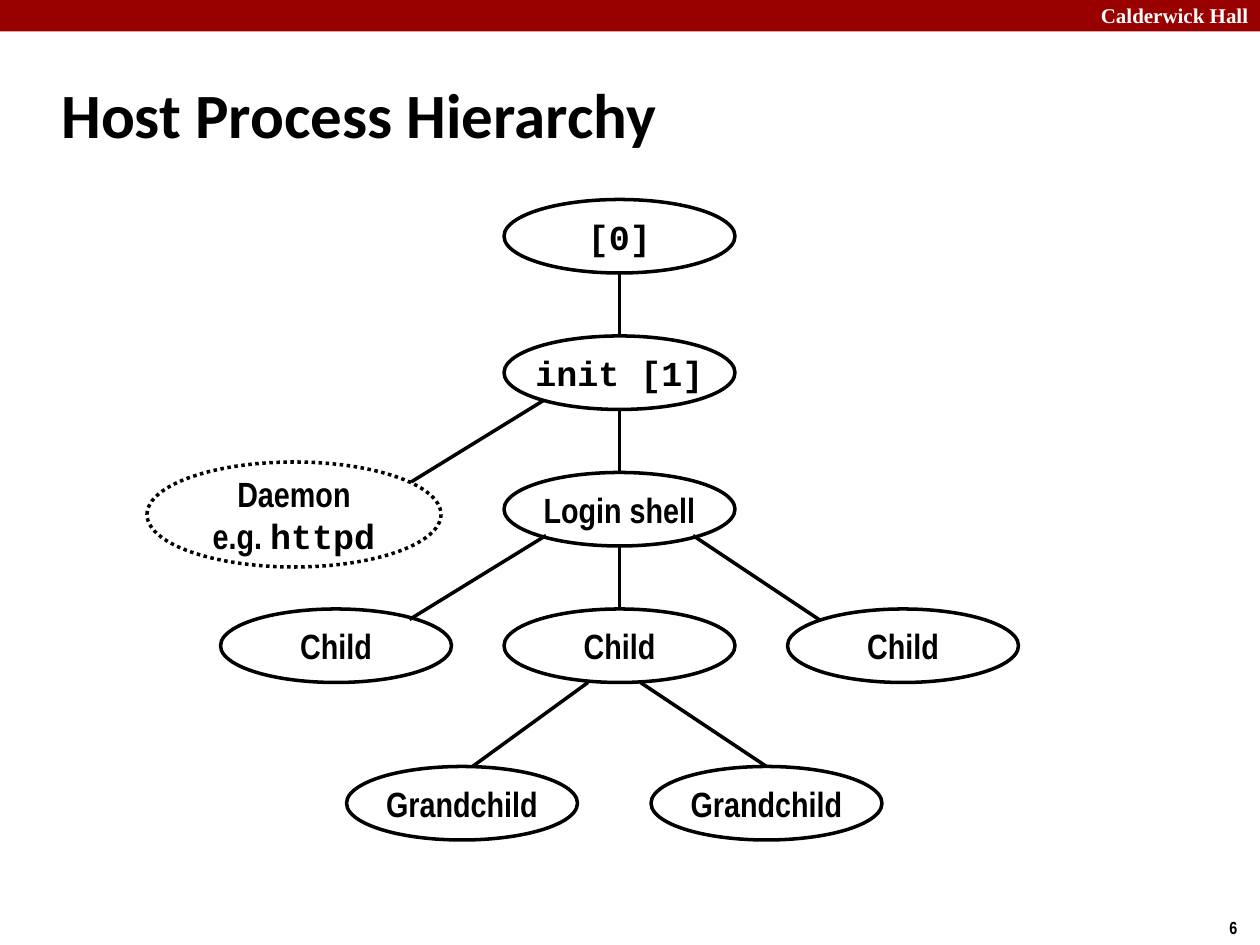
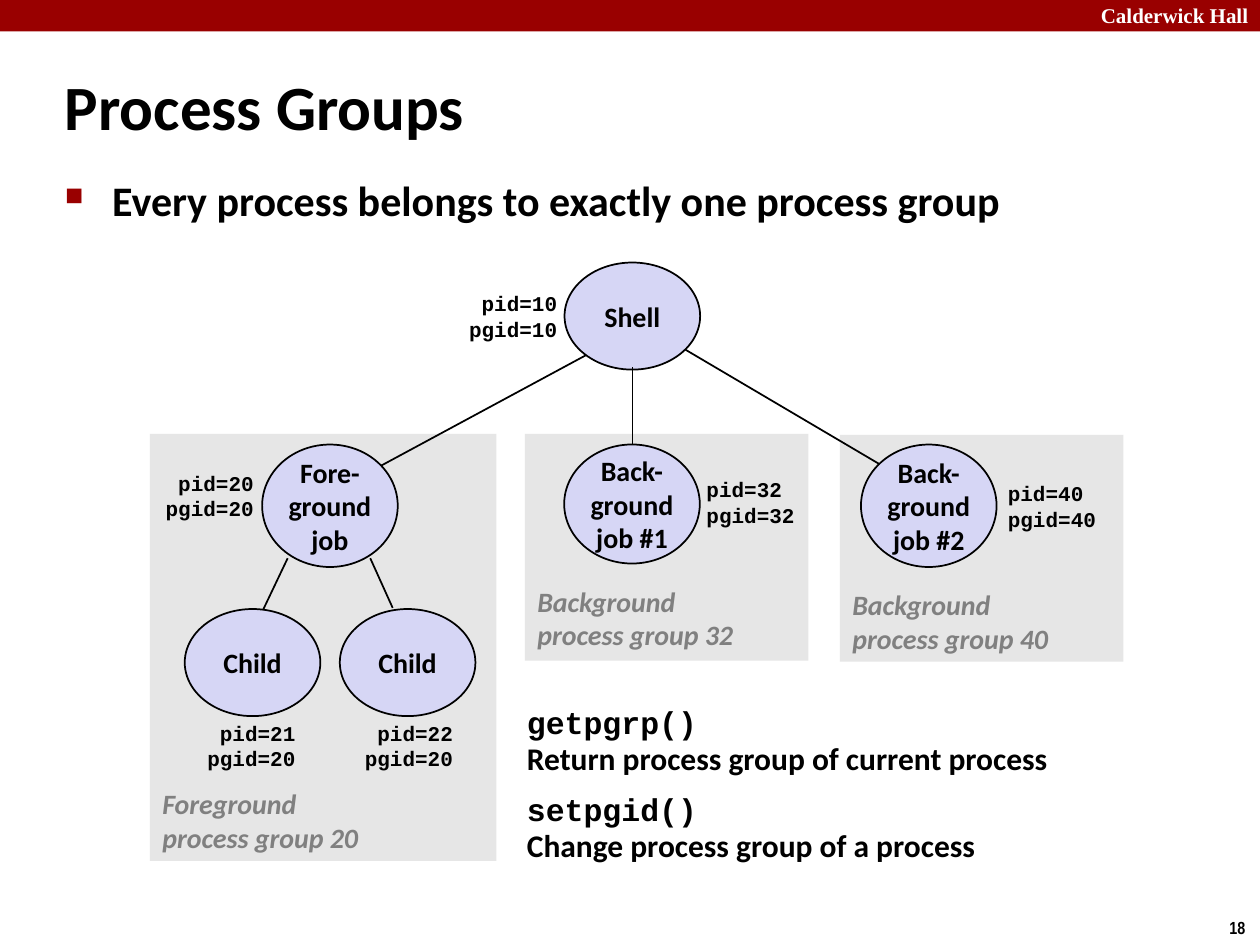
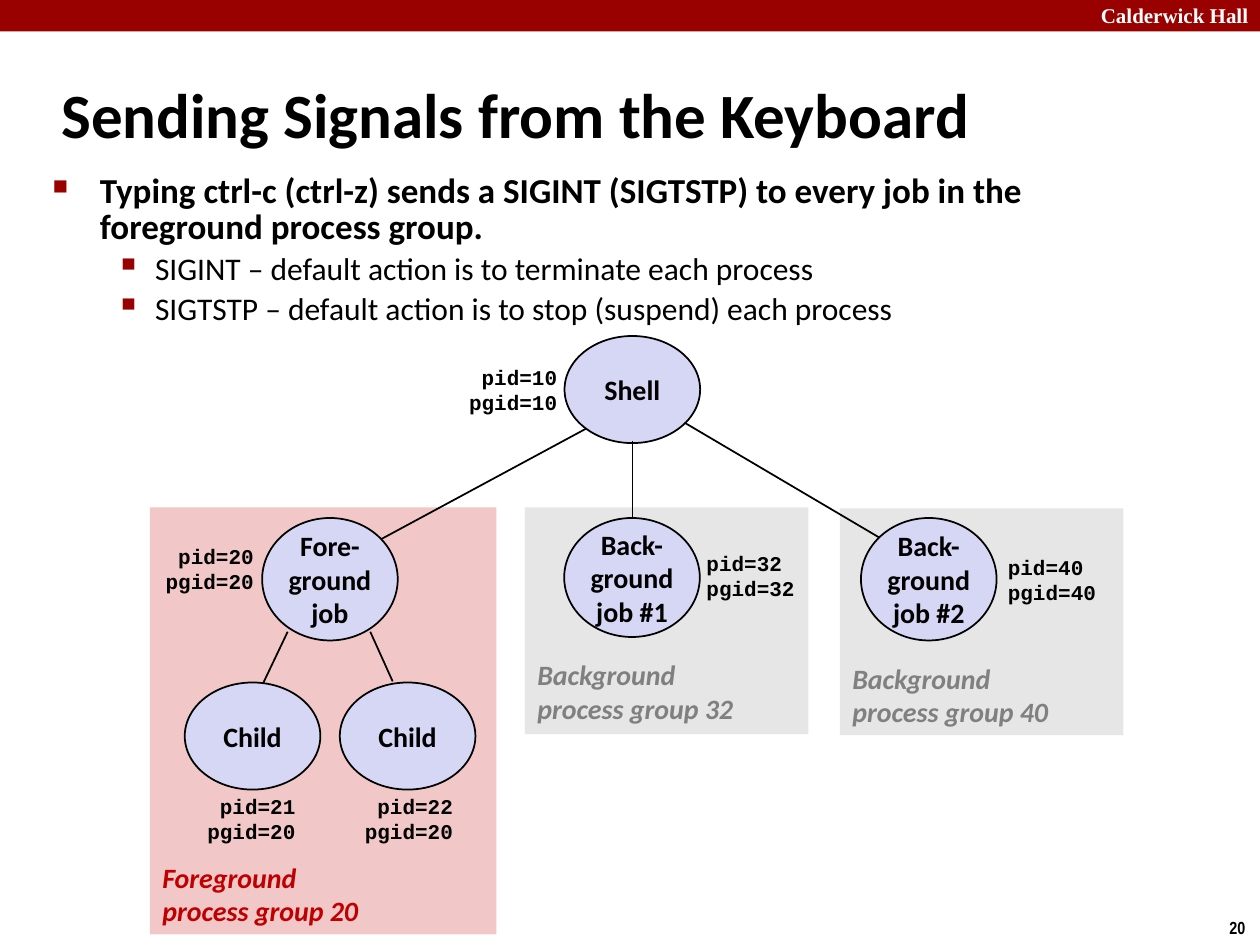
"""Three lecture slides on processes, process groups and keyboard signals."""
from dataclasses import dataclass, field

from lxml import etree
from pptx import Presentation, util as u
from pptx.dml import color
from pptx.enum import dml, shapes, text
from pptx.oxml import ns

LEFT, CENTER, RIGHT = text.PP_ALIGN.LEFT, text.PP_ALIGN.CENTER, text.PP_ALIGN.RIGHT


def style(name, size, ink="000000", bold=True, italic=False):
    """Return the format values of one kind of text."""
    return {"name": name, "size": u.Pt(size), "bold": bold, "italic": italic, "ink": ink}


@dataclass(frozen=True)
class Theme:
    """Colours and type sizes of the deck."""
    ink: str = "000000"
    paper: str = "FFFFFF"
    accent: str = "990000"
    process: str = "D6D6F5"
    group: str = "E6E6E6"
    active_group: str = "F1C7C7"
    type: dict = field(default_factory=lambda: {
        "brand": style("Times New Roman", 12, "FFFFFF"),
        "number": style("Arial Narrow", 10),
        "title": style("Calibri", 36),
        "statement": style("Calibri", 24),
        "point": style("Calibri", 20),
        "detail": style("Calibri", 18, bold=False),
        "node": style("Arial Narrow", 20),
        "node code": style("Courier New", 20),
        "process": style("Calibri", 16),
        "pid": style("Courier New", 12),
        "group": style("Calibri", 16, "808080", italic=True),
        "active group": style("Calibri", 16, "C00000", italic=True),
        "function": style("Courier New", 18),
        "meaning": style("Calibri", 18),
    })


THEME = Theme()


def rgb(code):
    """Return the colour for a hex code."""
    return color.RGBColor.from_string(code)


def apply(target, values):
    """Set every format value on the target."""
    for key, value in values.items():
        if key == "ink":
            target.color.rgb = rgb(value)
        else:
            setattr(target, key, value)


def write(frame, lines, kind, **layout):
    """Fill a text frame; a line is a string or a list of (string, kind) parts."""
    for index, line in enumerate(lines):
        paragraph = frame.paragraphs[0] if index == 0 else frame.add_paragraph()
        apply(paragraph, layout)
        for words, part in [(line, kind)] if isinstance(line, str) else line:
            if words == "\n":
                paragraph.add_line_break()
                continue
            run = paragraph.add_run()
            run.text = words
            apply(run.font, THEME.type[part])


def add_text(slide, box, lines, kind, wrap=True, anchor=text.MSO_ANCHOR.TOP, **layout):
    """Add a text box and return its frame."""
    frame = slide.shapes.add_textbox(*map(u.Pt, box)).text_frame
    apply(frame, {"word_wrap": wrap, "vertical_anchor": anchor})
    write(frame, lines, kind, **layout)
    return frame


def add_block(slide, box, fill, outline=0, form=shapes.MSO_SHAPE.RECTANGLE):
    """Add a flat filled shape, outlined when a line width is given."""
    block = slide.shapes.add_shape(form, *map(u.Pt, box))
    block.shadow.inherit = False
    block.fill.solid()
    block.fill.fore_color.rgb = rgb(fill)
    if outline:
        block.line.color.rgb = rgb(THEME.ink)
        block.line.width = u.Pt(outline)
    else:
        block.line.fill.background()
    return block


def add_node(slide, box, lines, kind, fill, outline):
    """Add an ellipse with centred text."""
    node = add_block(slide, box, fill, outline, shapes.MSO_SHAPE.OVAL)
    apply(node.text_frame, {"word_wrap": False, "vertical_anchor": text.MSO_ANCHOR.MIDDLE})
    write(node.text_frame, lines, kind, alignment=CENTER)
    return node


def add_edges(slide, edges, width, top=0):
    """Add straight lines given as x1, y1, x2, y2 below the top."""
    for x1, y1, x2, y2 in edges:
        edge = slide.shapes.add_connector(
            shapes.MSO_CONNECTOR.STRAIGHT, *map(u.Pt, (x1, top + y1, x2, top + y2)))
        edge.line.color.rgb = rgb(THEME.ink)
        edge.line.width = u.Pt(width)
        etree.SubElement(edge._element.spPr, ns.qn("a:effectLst"))


def add_bullets(slide, box, items):
    """Add bulleted lines given as words, kind, indent, hang, mark, mark size and layout."""
    frame = add_text(slide, box, [], "point")
    for index, (words, kind, indent, hang, mark, percent, layout) in enumerate(items):
        paragraph = frame.paragraphs[0] if index == 0 else frame.add_paragraph()
        apply(paragraph, layout)
        run = paragraph.add_run()
        run.text = words
        apply(run.font, THEME.type[kind])
        properties = paragraph._p.get_or_add_pPr()
        properties.set("marL", str(u.Pt(indent)))
        properties.set("indent", str(u.Pt(-hang)))
        tint = etree.SubElement(properties, ns.qn("a:buClr"))
        etree.SubElement(tint, ns.qn("a:srgbClr"), val=THEME.accent)
        etree.SubElement(properties, ns.qn("a:buSzPct"), val=str(percent * 1000))
        etree.SubElement(properties, ns.qn("a:buChar"), char=mark)


def start_slide(deck, title, number, title_at=(28, 34.5)):
    """Add a blank slide with band, title and slide number."""
    slide = deck.slides.add_slide(deck.slide_layouts[6])
    add_block(slide, (0, 0, 720, 18), THEME.accent)
    add_text(slide, (622, -2, 103, 21.6), ["Calderwick Hall"], "brand")
    add_text(slide, (695.5, 520.6, 24.5, 19.5), [number], "number")
    add_text(slide, (*title_at, 598, 60), [title], "title", anchor=text.MSO_ANCHOR.MIDDLE)
    return slide


def add_process_tree(slide, top, active=False):
    """Draw the shell, its jobs and their process groups."""
    foreground = (THEME.active_group, "active group") if active else (THEME.group, "group")
    background = (THEME.group, "group")
    groups = [
        ((480, 98.5, 162, 129.6), 182, "Background", "40", background),
        ((300, 98, 162, 129.6), 180, "Background", "32", background),
        ((85.7, 98, 198, 244), 295.7, "Foreground", "20", foreground),
    ]
    for (left, y, width, height), _, _, _, (fill, _) in groups:
        add_block(slide, (left, top + y, width, height), fill)

    processes = [
        (149.8, 104, 70, ["Fore-", "ground", "job"]),
        (322.4, 104, 68, ["Back-", "ground", "job #1"]),
        (492, 104, 70, ["Back-", "ground", "job #2"]),
        (322.6, 0, 61.2, ["Shell"]),
        (105.6, 198, 61.2, ["Child"]),
        (194.2, 198, 61.2, ["Child"]),
    ]
    for left, y, height, lines in processes:
        add_node(slide, (left, top + y, 77.5, height), lines, "process", THEME.process, 1)

    add_edges(slide, [
        (164.4, 169, 150.4, 198.4),
        (211.6, 169, 224.4, 197.4),
        (361.5, 60, 361.5, 104),
        (334.8, 53, 218, 116),
        (391.3, 49.6, 502.5, 115.2),
    ], 1, top)

    for (left, _, _, _), y, name, pgid, (_, kind) in groups:
        add_text(slide, (left, top + y, 139, 46), [name, f"process group {pgid}"], kind,
                 anchor=text.MSO_ANCHOR.MIDDLE)

    identifiers = [
        (260, 12.7, 10, 10, RIGHT),
        (86.6, 115, 20, 20, RIGHT),
        (396.6, 119, 32, 32, LEFT),
        (568.8, 121.2, 40, 40, LEFT),
        (110.4, 258, 21, 20, RIGHT),
        (200.4, 258, 22, 20, RIGHT),
    ]
    for left, y, pid, pgid, side in identifiers:
        add_text(slide, (left, top + y, 65.5, 36), [f"pid={pid}", f"pgid={pgid}"], "pid",
                 wrap=False, anchor=text.MSO_ANCHOR.MIDDLE, alignment=side)


def build_hierarchy(deck):
    """Build the slide with the tree of all processes."""
    slide = start_slide(deck, "Host Process Hierarchy", "6")
    width, height, middle, step = 132, 42, 288, 78
    root, init, login, child = (114 + step * level for level in range(4))
    grandchild = 438

    def node(left, top, name, kind="node"):
        """Add one process of the common size."""
        add_node(slide, (left, top, width, height), [name], kind, THEME.paper, 2)

    node(middle, login, "Login shell")
    for left in (middle + 162, middle, middle - 162):
        node(left, child, "Child")
    for left in (372, 198):
        node(left, grandchild, "Grandchild")
    node(middle, root, "[0]", "node code")

    axis = middle + width / 2
    add_edges(slide, [(axis, top + height, axis, top + step) for top in (root, init, login)], 2)
    add_edges(slide, [
        (312, 306, 234, 354),
        (396, 306, 468, 354),
        (366, 390, 438, grandchild),
        (336, 390, 270, grandchild),
        (312, 228, 234, 276),
    ], 2)
    daemon = add_node(slide, (84, 264, 168, 60),
                      ["Daemon", [("e.g. ", "node"), ("httpd", "node code")]],
                      "node", THEME.paper, 2)
    daemon.line.dash_style = dml.MSO_LINE.ROUND_DOT
    node(middle, init, "init [1]", "node code")


def build_groups(deck):
    """Build the slide on process groups and their functions."""
    slide = start_slide(deck, "Process Groups", "18", (30, 30))
    add_bullets(slide, (30, 96, 608, 48), [
        ("Every process belongs to exactly one process group", "statement", 27, 27, "■", 60,
         {"space_before": u.Pt(4.8)}),
    ])
    add_process_tree(slide, 150)
    functions = [("getpgrp()", "Return process group of current process"),
                 ("setpgid()", "Change process group of a process")]
    add_text(slide, (294, 399.6, 324, 108),
             [[(name, "function"), ("\n", ""), (meaning, "meaning")]
              for name, meaning in functions],
             "function", line_spacing=0.95, space_before=u.Pt(9))


def build_signals(deck):
    """Build the slide on signals sent from the keyboard."""
    slide = start_slide(deck, "Sending Signals from the Keyboard", "20")
    main_layout = {"line_spacing": 0.85, "space_before": u.Pt(4)}
    detail_layout = {"line_spacing": 0.9, "space_before": u.Pt(3.6), "level": 1}
    details = ["SIGINT – default action is to terminate each process",
               "SIGTSTP – default action is to stop (suspend) each process"]
    add_bullets(slide, (23, 96.5, 654.5, 101.5), [
        ("Typing ctrl-c (ctrl-z) sends a SIGINT (SIGTSTP) to every job in the "
         "foreground process group.", "point", 27, 27, "■", 60, main_layout),
        *((words, "detail", 58.5, 22.5, "▪", 110, detail_layout) for words in details),
    ])
    add_process_tree(slide, 192, active=True)


def main():
    """Build and save the deck."""
    deck = Presentation()
    apply(deck, {"slide_width": u.Pt(720), "slide_height": u.Pt(540)})
    for build in (build_hierarchy, build_groups, build_signals):
        build(deck)
    deck.save("out.pptx")


if __name__ == "__main__":
    main()
